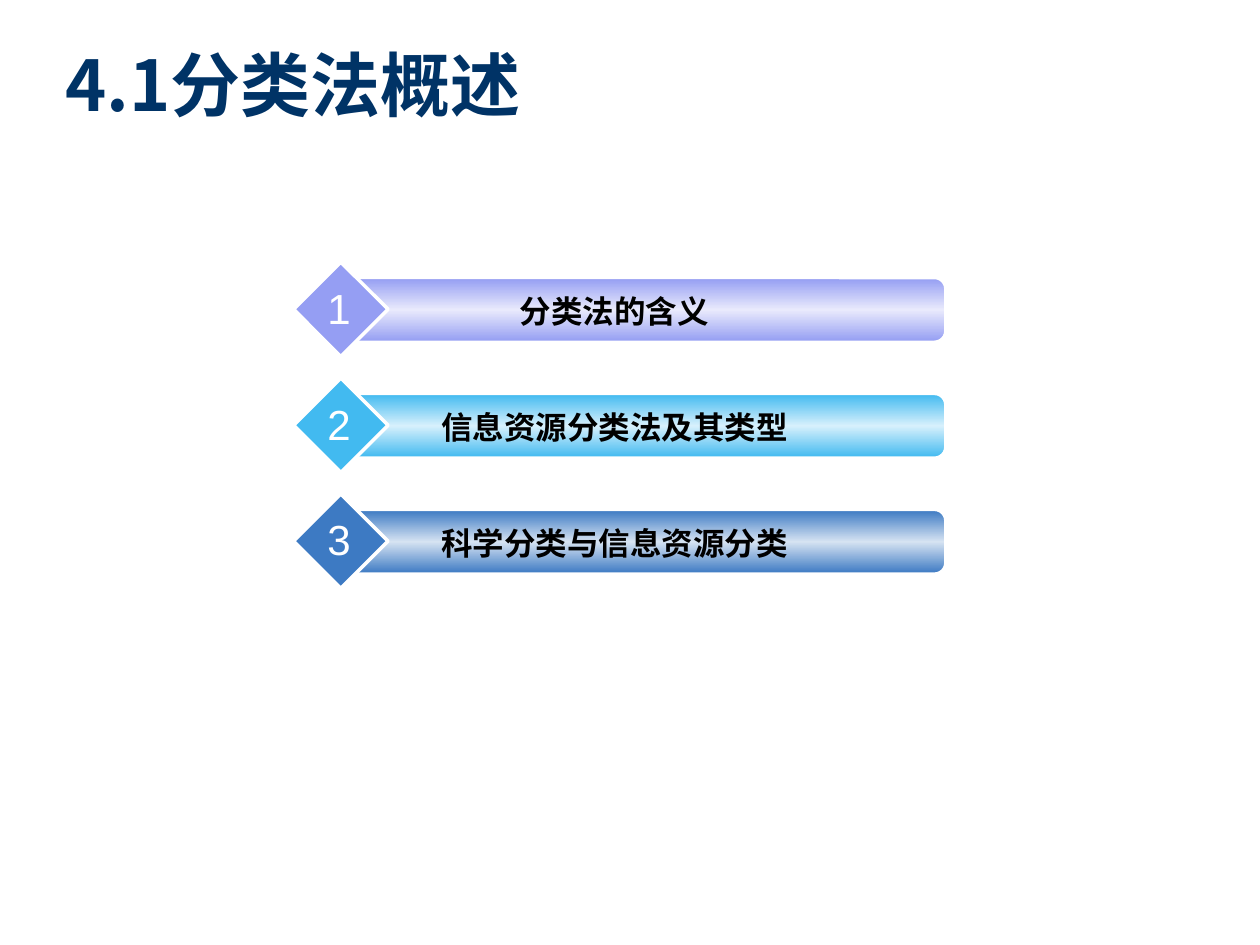
from copy import deepcopy

from lxml import etree
from pptx import Presentation
from pptx import util as u
from pptx.dml.color import RGBColor
from pptx.enum import shapes, text
from pptx.oxml import ns

NAVY = RGBColor(0x00, 0x33, 0x66)
BLACK = RGBColor(0x00, 0x00, 0x00)
WHITE = RGBColor(0xFF, 0xFF, 0xFF)
LILAC = RGBColor(0x95, 0x9E, 0xF3)
PALE_LILAC = RGBColor(0xE9, 0xEA, 0xFC)
SKY = RGBColor(0x42, 0xBA, 0xF0)
PALE_SKY = RGBColor(0xD7, 0xF0, 0xFC)
BLUE = RGBColor(0x3D, 0x7A, 0xC3)
PALE_BLUE = RGBColor(0xD6, 0xE3, 0xF2)

LATIN_FONT = "Arial"
CHINESE_FONT = "Noto Sans CJK SC"

FIRST_ROW = 2.08
ROW_PITCH = 0.92
TOPICS = [
    ("分类法的含义", LILAC, PALE_LILAC),
    ("信息资源分类法及其类型", SKY, PALE_SKY),
    ("科学分类与信息资源分类", BLUE, PALE_BLUE),
]


def inches(*lengths):
    return [u.Inches(length) for length in lengths]


def add_span(para, words, size, color, bold=False, font=LATIN_FONT):
    span = para.add_run()
    span.text = words
    span.font.size = u.Pt(size)
    span.font.bold = bold
    span.font.name = font
    span.font.color.rgb = color
    east_asian = etree.SubElement(span._r.get_or_add_rPr(), ns.qn("a:ea"))
    east_asian.set("typeface", CHINESE_FONT)


def set_title(page, words):
    title = page.shapes.title
    title.left, title.top, title.width, title.height = inches(0.42, 0.33, 9.33, 0.67)
    frame = title.text_frame
    frame.auto_size = text.MSO_AUTO_SIZE.NONE
    frame.vertical_anchor = text.MSO_ANCHOR.MIDDLE
    para = frame.paragraphs[0]
    para.alignment = text.PP_ALIGN.LEFT
    add_span(para, words, 40, NAVY, bold=True, font=CHINESE_FONT)


def add_outlined(group, kind, place, line_width):
    shape = group.shapes.add_shape(kind, *inches(*place))
    shape.shadow.inherit = False
    shape.line.color.rgb = WHITE
    shape.line.width = u.Pt(line_width)
    return shape


def fill_sheen(shape, edge, middle):
    """Vertical gradient: edge colour at top and bottom, light middle."""
    shape.fill.gradient()
    shape.fill.gradient_angle = 90
    stop_list = shape._element.spPr.find(".//" + ns.qn("a:gsLst"))
    stop_list.insert(1, deepcopy(stop_list[0]))
    stops = zip(shape.fill.gradient_stops, (0, 0.5, 1), (edge, middle, edge))
    for stop, position, color in stops:
        stop.position = position
        stop.color.rgb = color


def add_label(group, place, words, size, color, bold=False, wrap=True):
    box = group.shapes.add_textbox(*inches(*place))
    box.text_frame.word_wrap = wrap
    para = box.text_frame.paragraphs[0]
    para.alignment = text.PP_ALIGN.CENTER
    add_span(para, words, size, color, bold)


def add_topic(page, number, words, edge, middle):
    top = FIRST_ROW + (number - 1) * ROW_PITCH
    group = page.shapes.add_group_shape()
    bar = add_outlined(group, shapes.MSO_SHAPE.ROUNDED_RECTANGLE,
                       (2.75, top + 0.13, 4.75, 0.5), 1)
    fill_sheen(bar, edge, middle)
    diamond = add_outlined(group, shapes.MSO_SHAPE.DIAMOND,
                           (2.33, top, 0.75, 0.75), 2)
    diamond.fill.solid()
    diamond.fill.fore_color.rgb = edge
    add_label(group, (3, top + 0.19, 3.75, 0.4), words, 18, BLACK, bold=True)
    add_label(group, (2.5, top + 0.11, 0.38, 0.5), str(number), 24, WHITE, wrap=False)


def main():
    deck = Presentation()
    deck.slide_width, deck.slide_height = inches(10, 7.5)
    page = deck.slides.add_slide(deck.slide_layouts[5])
    set_title(page, "4.1分类法概述")
    for number, topic in enumerate(TOPICS, 1):
        add_topic(page, number, *topic)
    deck.save("out.pptx")


if __name__ == "__main__":
    main()
